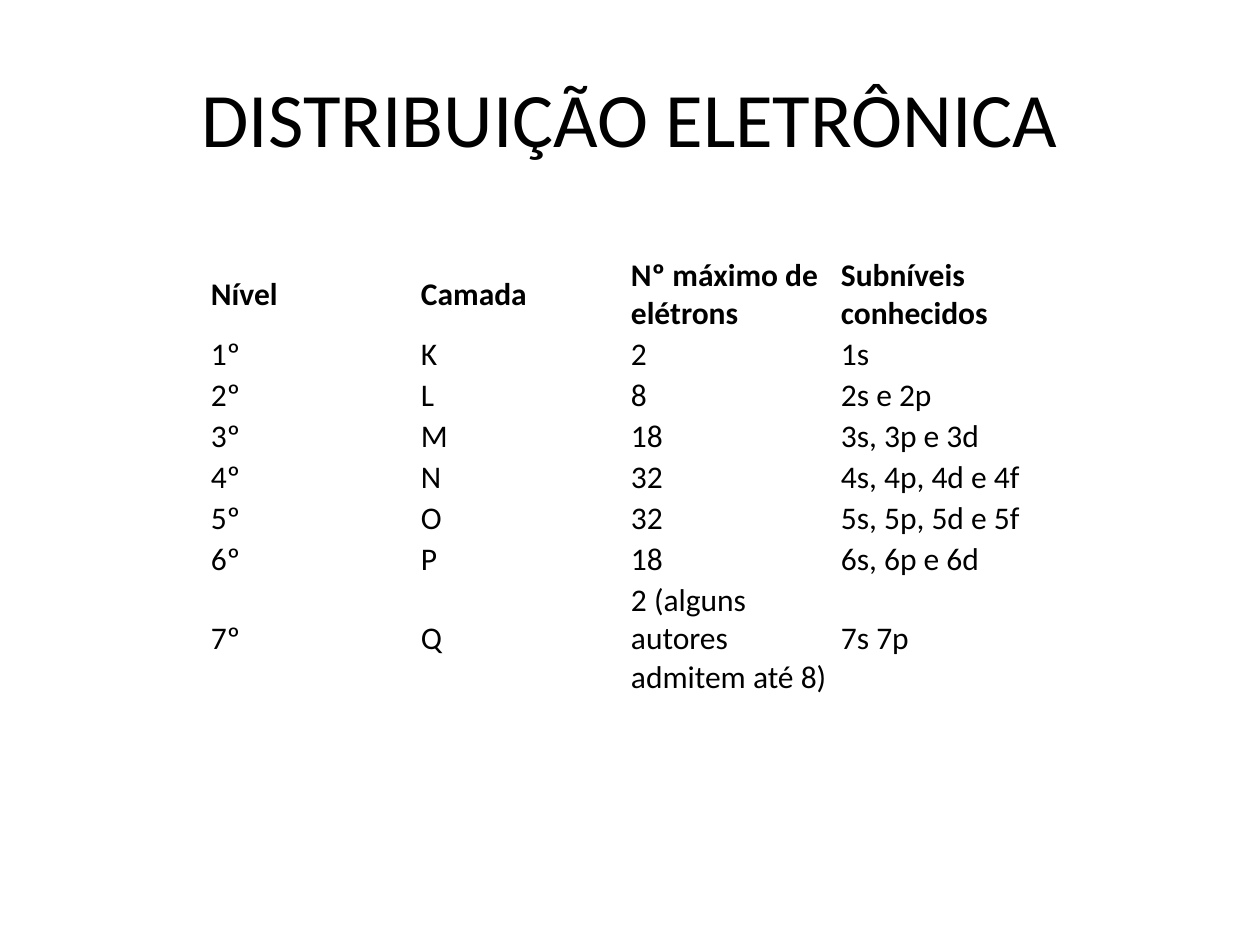
import pptx
import pptx.dml.color
import pptx.enum.text
import pptx.util

EMU_PER_PX = 914400 / 126
BLACK = pptx.dml.color.RGBColor(0x00, 0x00, 0x00)


def px(length):
    return pptx.util.Emu(round(length * EMU_PER_PX))


def write_text(text_frame, text, size, bold=False, align=pptx.enum.text.PP_ALIGN.LEFT):
    paragraph = text_frame.paragraphs[0]
    paragraph.alignment = align
    run = paragraph.add_run()
    run.text = text
    run.font.name = "Calibri"
    run.font.size = pptx.util.Pt(size)
    run.font.bold = bold
    run.font.color.rgb = BLACK


presentation = pptx.Presentation()
presentation.slide_width = px(1260)
presentation.slide_height = px(945)
slide = presentation.slides.add_slide(presentation.slide_layouts[5])

# Title
title = slide.shapes.title
title.left, title.top, title.width, title.height = px(63), px(38), px(1134), px(157)
title.text_frame.vertical_anchor = pptx.enum.text.MSO_ANCHOR.MIDDLE
write_text(title.text_frame, "DISTRIBUIÇÃO ELETRÔNICA", size=44,
           align=pptx.enum.text.PP_ALIGN.CENTER)

# Table of electron shells
shells = [
    ("Nível", "Camada", "Nº máximo de elétrons", "Subníveis conhecidos"),
    ("1º", "K", "2", "1s"),
    ("2º", "L", "8", "2s e 2p"),
    ("3º", "M", "18", "3s, 3p e 3d"),
    ("4º", "N", "32", "4s, 4p, 4d e 4f"),
    ("5º", "O", "32", "5s, 5p, 5d e 5f"),
    ("6º", "P", "18", "6s, 6p e 6d"),
    ("7º", "Q", "2 (alguns autores admitem até 8)", "7s 7p"),
]
row_heights = [79] + [41] * 6 + [118]
table = slide.shapes.add_table(len(shells), len(shells[0]), px(210), px(255),
                               px(840), px(sum(row_heights))).table
table.first_row = False
table.horz_banding = False
for column in table.columns:
    column.width = px(210)

for row_index, (shell, height) in enumerate(zip(shells, row_heights)):
    table.rows[row_index].height = px(height)
    for column_index, text in enumerate(shell):
        cell = table.cell(row_index, column_index)
        cell.fill.background()
        cell.vertical_anchor = pptx.enum.text.MSO_ANCHOR.MIDDLE
        cell.margin_left = cell.margin_right = px(1)
        cell.margin_top = cell.margin_bottom = px(1)
        write_text(cell.text_frame, text, size=18, bold=row_index == 0)

presentation.save("out.pptx")
